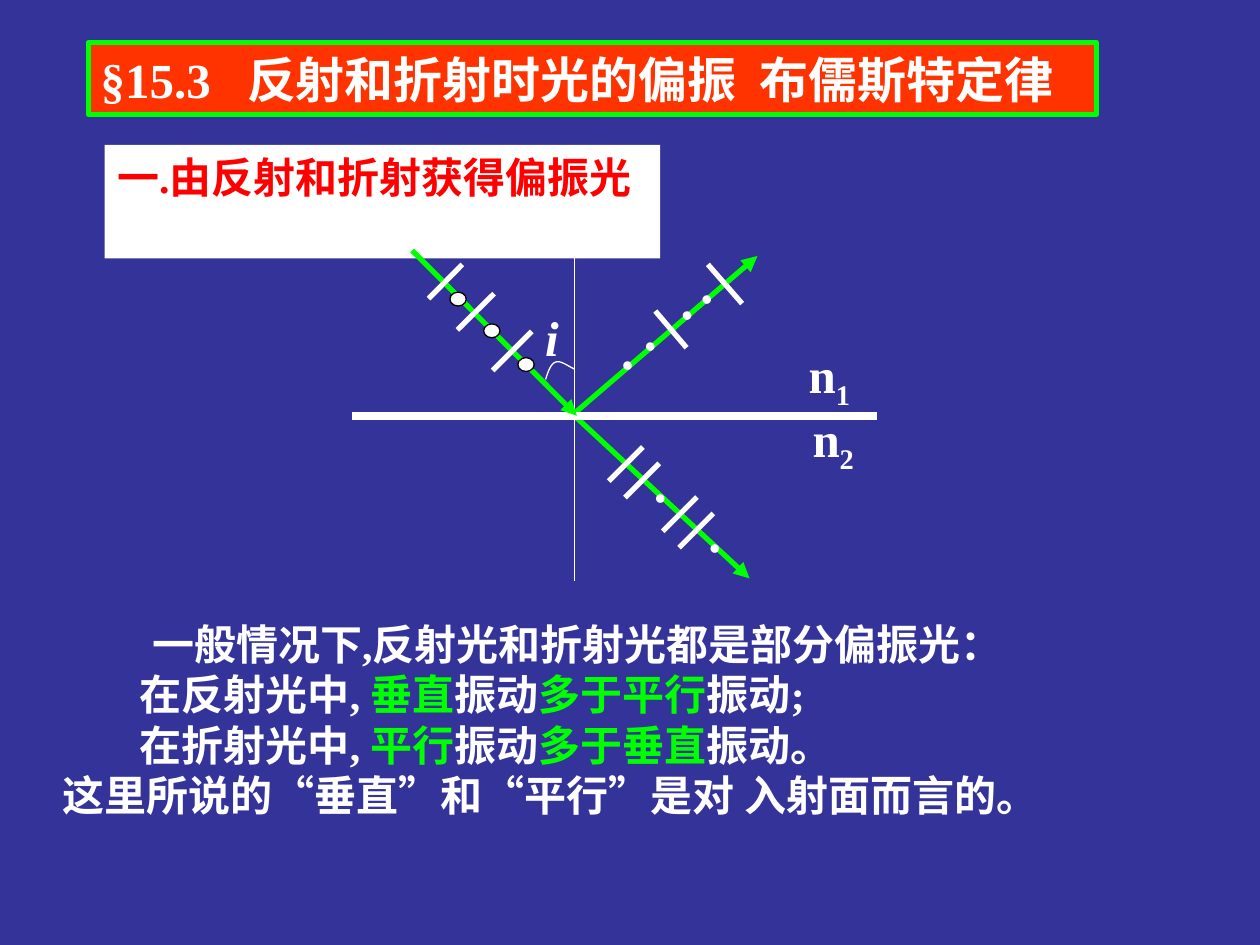
from dataclasses import dataclass

from lxml import etree
from pptx import Presentation
from pptx.dml.color import RGBColor
from pptx.enum.shapes import MSO_CONNECTOR, MSO_SHAPE
from pptx.enum.text import MSO_ANCHOR, MSO_AUTO_SIZE, PP_ALIGN
from pptx.oxml.ns import qn
from pptx.util import Cm, Pt

STRAIGHT = MSO_CONNECTOR.STRAIGHT
RECT, OVAL = MSO_SHAPE.RECTANGLE, MSO_SHAPE.OVAL
LEFT = PP_ALIGN.LEFT
TOP, MIDDLE = MSO_ANCHOR.TOP, MSO_ANCHOR.MIDDLE
FIXED = MSO_AUTO_SIZE.NONE

NAVY = RGBColor(0x33, 0x33, 0x99)
ORANGE = RGBColor(0xFF, 0x33, 0x00)
GREEN = RGBColor(0x00, 0xFF, 0x00)
RED = RGBColor(0xFF, 0x00, 0x00)
WHITE = RGBColor(0xFF, 0xFF, 0xFF)
BLACK = RGBColor(0x00, 0x00, 0x00)
SERIF, SANS = "Times New Roman", "Arial"


@dataclass
class Box:
    x: float
    y: float
    w: float
    h: float

    def sides(self) -> tuple:
        return Cm(self.x), Cm(self.y), Cm(self.w), Cm(self.h)


@dataclass
class Line:
    x1: float
    y1: float
    x2: float
    y2: float
    color: RGBColor = WHITE
    width: float = 3
    arrow: bool = False


@dataclass
class Label:
    box: Box
    text: str
    sub: str = ""
    slant: bool = False


def style(run, size: float, color: RGBColor, face: str = SERIF, bold: bool = True) -> None:
    font = run.font
    font.name, font.size, font.bold = face, Pt(size), bold
    font.color.rgb = color


def set_frame(frame, anchor=TOP) -> None:
    frame.word_wrap = True
    frame.auto_size = FIXED
    frame.vertical_anchor = anchor
    frame.margin_left = frame.margin_right = Cm(0.25)
    frame.margin_top = frame.margin_bottom = Cm(0.13)


def add_text(slide, box: Box):
    frame = slide.shapes.add_textbox(*box.sides()).text_frame
    set_frame(frame)
    return frame


def add_line(slide, line: Line) -> None:
    ends = (Cm(v) for v in (line.x1, line.y1, line.x2, line.y2))
    wire = slide.shapes.add_connector(STRAIGHT, *ends)
    wire.line.color.rgb = line.color
    wire.line.width = Pt(line.width)
    props = wire._element.spPr
    if line.arrow:
        etree.SubElement(props.find(qn("a:ln")), qn("a:tailEnd"), type="triangle")
    etree.SubElement(props, qn("a:effectLst"))


def add_dot(slide, x: float, y: float) -> None:
    frame = add_text(slide, Box(x, y, 1.1, 1.02))
    frame.text = "•"
    style(frame.paragraphs[0].runs[0], 18, WHITE, SANS, False)


def add_bead(slide, x: float, y: float) -> None:
    bead = slide.shapes.add_shape(OVAL, *Box(x, y, 0.33, 0.28).sides())
    bead.shadow.inherit = False
    bead.fill.solid()
    bead.fill.fore_color.rgb = WHITE
    bead.line.color.rgb = BLACK
    bead.line.width = Pt(0.75)


def add_label(slide, label: Label) -> None:
    para = add_text(slide, label.box).paragraphs[0]
    para.text = label.text
    style(para.runs[0], 28, WHITE)
    para.runs[0].font.italic = label.slant
    if label.sub:
        run = para.add_run()
        run.text = label.sub
        style(run, 28, WHITE)
        run.font._element.set("baseline", "-25000")


def add_curve(slide, start: tuple, bends: list, steps: int = 8) -> None:
    """Draw joined cubic curves as a fine open outline."""
    dots, a = [], start
    for b, c, d in bends:
        for t in (n / steps for n in range(1, steps + 1)):
            s = 1 - t
            mix = (s**3, 3 * s * s * t, 3 * s * t * t, t**3)
            dots.append(tuple(Cm(sum(m * p[k] for m, p in zip(mix, (a, b, c, d))))
                              for k in (0, 1)))
        a = d
    pen = slide.shapes.build_freeform(Cm(start[0]), Cm(start[1]))
    pen.add_line_segments(dots, close=False)
    arc = pen.convert_to_shape()
    arc.shadow.inherit = False
    arc.fill.background()
    arc.line.color.rgb = WHITE
    arc.line.width = Pt(0.75)


def add_title(slide, text: str, stops: tuple) -> None:
    title = slide.shapes.title
    title.left, title.top, title.width, title.height = Box(1.78, 0.86, 20.32, 1.45).sides()
    title.fill.solid()
    title.fill.fore_color.rgb = ORANGE
    title.line.color.rgb = GREEN
    title.line.width = Pt(3)
    frame = title.text_frame
    set_frame(frame, MIDDLE)
    para = frame.paragraphs[0]
    para.text = text
    para.alignment = LEFT
    tabs = etree.SubElement(para._p.get_or_add_pPr(), qn("a:tabLst"))
    for stop in stops:
        etree.SubElement(tabs, qn("a:tab"), pos=str(Cm(stop)), algn="l")
    style(para.runs[0], 28, WHITE)


def add_head(slide, text: str) -> None:
    head = slide.shapes.add_shape(RECT, *Box(2.11, 2.92, 11.2, 2.29).sides())
    head.shadow.inherit = False
    head.fill.solid()
    head.fill.fore_color.rgb = WHITE
    head.line.fill.background()
    set_frame(head.text_frame)
    para = head.text_frame.paragraphs[0]
    para.text = text
    para.alignment = LEFT
    style(para.runs[0], 24, RED)


def add_notes(slide, rows: list) -> None:
    """Each row is an indent and its parts; every second part is green."""
    frame = add_text(slide, Box(1.02, 12.34, 23.62, 4.5))
    for n, (indent, parts) in enumerate(rows):
        para = frame.add_paragraph() if n else frame.paragraphs[0]
        para._p.get_or_add_pPr().set("indent", str(Cm(indent)))
        for k, part in enumerate(parts):
            run = para.add_run()
            run.text = part
            style(run, 24, GREEN if k % 2 else WHITE)


def main() -> None:
    deck = Presentation()
    deck.slide_width, deck.slide_height = Cm(25.4), Cm(19.05)
    slide = deck.slides.add_slide(deck.slide_layouts[5])
    slide.background.fill.solid()
    slide.background.fill.fore_color.rgb = NAVY

    # Title and notes
    add_title(slide, "§15.3\t反射和折射时光的偏振\t布儒斯特定律", (2.95, 13.28))
    add_notes(slide, [
        (1.8, ["一般情况下,反射光和折射光都是部分偏振光："]),
        (1.55, ["在反射光中, ", "垂直", "振动", "多于平行", "振动;"]),
        (1.55, ["在折射光中, ", "平行", "振动", "多于垂直", "振动。"]),
        (0, ["这里所说的“垂直”和“平行”是对 入射面而言的。"]),
    ])

    # Reflected and refracted rays, with their ticks and dots
    lines = [Line(11.58, 8.33, 15.27, 5.16, GREEN, arrow=True),
             Line(13.21, 6.27, 13.84, 7.01), Line(14.27, 5.33, 14.96, 6.12),
             Line(11.58, 8.38, 15.11, 11.66, GREEN, arrow=True)]
    for x, y in ((12.27, 9.7), (13.36, 10.71)):
        for gap in (0, 0.33):
            lines.append(Line(x + gap, y + gap, x + gap + 0.69, y + gap - 0.69))
    lines.append(Line(7.09, 8.38, 17.68, 8.38, width=4.5))
    for line in lines:
        add_line(slide, line)
    for x, y in ((12.29, 6.83), (12.75, 6.45), (13.89, 5.49), (13.49, 5.82),
                 (12.95, 9.5), (14.05, 10.52)):
        add_dot(slide, x, y)

    # Heading, then the normal and the incident ray above it
    add_head(slide, "一.由反射和折射获得偏振光")
    for line in (Line(11.58, 4.85, 11.58, 11.71, width=0.75),
                 Line(8.31, 5.05, 11.63, 8.38, GREEN, arrow=True),
                 Line(8.64, 6.02, 9.32, 5.33), Line(9.22, 6.65, 9.96, 5.92),
                 Line(9.93, 7.47, 10.72, 6.68)):
        add_line(slide, line)
    add_curve(slide, (11, 7.65), [((11.05, 7.49), (11.1, 7.34), (11.2, 7.3)),
                                  ((11.3, 7.26), (11.43, 7.37), (11.58, 7.44))])
    for x, y in ((9.07, 5.89), (9.75, 6.53), (10.44, 7.21)):
        add_bead(slide, x, y)

    # Angle and index labels
    for label in (Label(Box(16.05, 6.81, 1.52, 1.6), "n", "1"),
                  Label(Box(16.13, 8.1, 1.52, 1.6), "n", "2"),
                  Label(Box(10.74, 6.07, 1.32, 1.45), "i", slant=True)):
        add_label(slide, label)

    deck.save("out.pptx")


if __name__ == "__main__":
    main()
